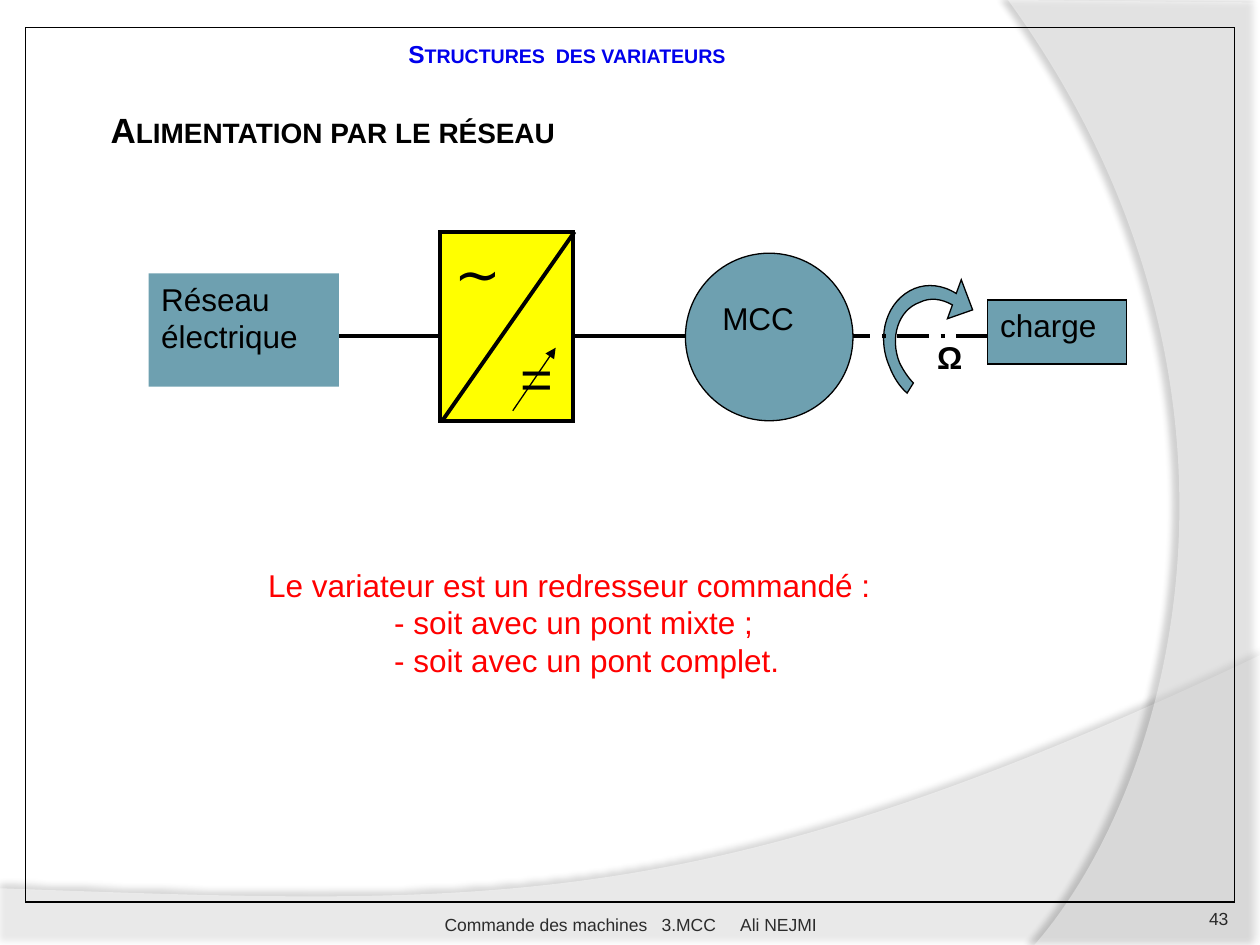
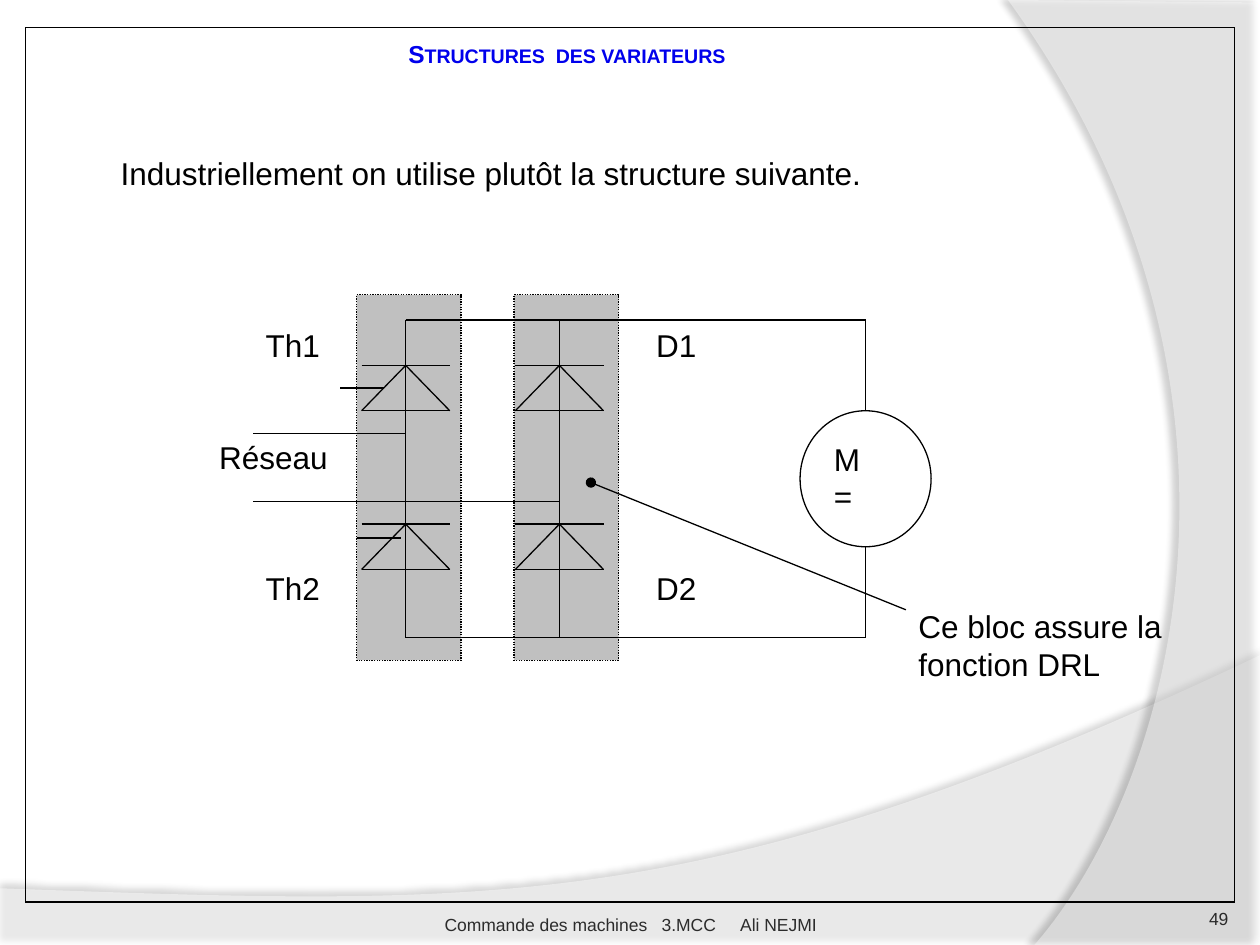
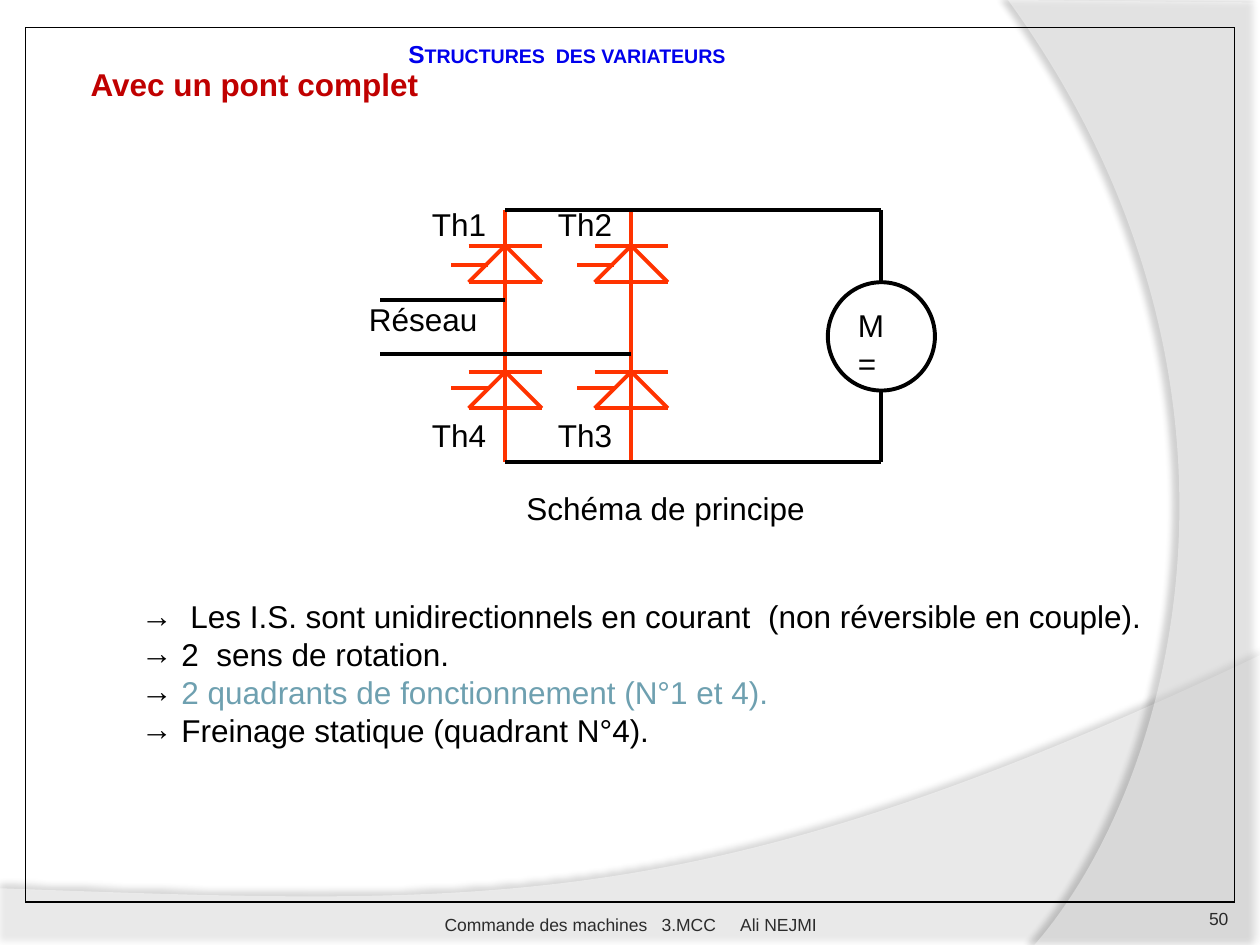
from dataclasses import dataclass
from typing import NamedTuple, Optional

from lxml.etree import Element, SubElement
from pptx import Presentation
from pptx.dml.color import RGBColor
from pptx.enum.dml import MSO_LINE
from pptx.enum.shapes import MSO_CONNECTOR, MSO_SHAPE
from pptx.enum.text import MSO_ANCHOR as ANCHOR, MSO_AUTO_SIZE, PP_ALIGN as ALIGN
from pptx.oxml.ns import qn
from pptx.util import Inches, Pt

BLACK = RGBColor(0x00, 0x00, 0x00)
WHITE = RGBColor(0xFF, 0xFF, 0xFF)
TEAL = RGBColor(0x6E, 0xA0, 0xB0)
YELLOW = RGBColor(0xFF, 0xFF, 0x00)
RED = RGBColor(0xFF, 0x00, 0x00)
DARK_RED = RGBColor(0xC0, 0x00, 0x00)
ORANGE = RGBColor(0xFF, 0x33, 0x00)
BLUE = RGBColor(0x00, 0x00, 0xEC)
SILVER = RGBColor(0xC0, 0xC0, 0xC0)
FOOTER_GREY = RGBColor(0x2C, 0x2C, 0x2C)
NUMBER_GREY = RGBColor(0x29, 0x29, 0x29)

FONT = "Arial"
THIN, THICK = 0.75, 2.25
TITLE_ONLY, TITLE_AND_CONTENT = 5, 1


class Box(NamedTuple):
    left: float
    top: float
    width: float
    height: float

    def lengths(self):
        return [Inches(value) for value in self]


class Insets(NamedTuple):
    left: float = 0.1
    top: float = 0.05
    right: float = 0.1
    bottom: float = 0.05


@dataclass(frozen=True)
class TextStyle:
    size: float = 18
    color: RGBColor = BLACK
    bold: bool = False
    small_caps: bool = False
    align: ALIGN = ALIGN.LEFT


@dataclass(frozen=True)
class Band:
    start: tuple
    segments: tuple
    opacity: int
    shadow_opacity: int
    shadow_distance: float
    shadow_angle: int


@dataclass(frozen=True)
class ListItem:
    pieces: tuple
    color: RGBColor = BLACK
    indent: float = 0.32


@dataclass(frozen=True)
class Label:
    text: str
    left: float
    top: float


@dataclass(frozen=True)
class Bridge:
    columns: tuple
    top: float
    bottom: float
    cathodes: tuple
    half_width: float
    height: float
    gates: tuple
    supply_left: float
    supply_levels: tuple
    supply_label: Box
    motor: Box
    motor_label: Box
    labels: tuple
    label_width: float
    label_height: float
    color: RGBColor
    width: float


PLAIN = TextStyle()
SYMBOL = TextStyle(size=32)
TITLE = TextStyle(14, BLUE, bold=True, small_caps=True)
FOOTER = TextStyle(10, FOOTER_GREY, align=ALIGN.CENTER)
FOOTER_PIECES = ("Commande des machines", 5.56, "3.MCC", 11.12, "Ali NEJMI")

BANDS = (
    Band((0, 7.05),
         ((0, 7.51), (10, 7.51), (10, 5.2), (5.59, 7.29, 3.91, 7.19, 0, 7.05)),
         45, 35, 3.5, 270),
    Band((10, 0.02),
         ((10, 7.5), (8.21, 7.5), (9.35, 6.19, 10.18, 3, 8, 0)),
         40, 45, 4, 180),
)

ROTATION_START = (7.56, 2.42)
ROTATION_SEGMENTS = (
    (7.47, 2.37, 7.38, 2.36, 7.3, 2.4),
    (7.13, 2.46, 7.06, 2.68, 7.14, 2.88),
    (7.17, 2.94, 7.21, 3, 7.25, 3.04),
    (7.2, 3.12),
    (7.14, 3.07, 7.09, 2.99, 7.06, 2.91),
    (6.95, 2.66, 7.04, 2.38, 7.26, 2.29),
    (7.36, 2.25, 7.48, 2.26, 7.59, 2.33),
    (7.63, 2.22), (7.72, 2.46), (7.52, 2.53),
)

FULL_BRIDGE_ITEMS = (
    ListItem(("Les I.S. sont unidirectionnels en courant", 5,
              "(non réversible en couple)."), indent=0.39),
    ListItem(("2", 5, "sens de rotation.")),
    ListItem(("2 quadrants de fonctionnement (N°1 et 4).",), TEAL),
    ListItem(("Freinage statique (quadrant N°4).",)),
)

MIXED_BRIDGE = Bridge(
    columns=(3.22, 4.44), top=2.54, bottom=5.06, cathodes=(2.9, 4.16),
    half_width=0.35, height=0.36, gates=((3.05, 3.08), (3.18, 4.27)),
    supply_left=2.01, supply_levels=(3.44, 3.98),
    supply_label=Box(1.64, 3.43, 1.08, 0.58),
    motor=Box(6.35, 3.26, 1.04, 1.08), motor_label=Box(6.52, 3.44, 0.69, 0.9),
    labels=(Label("Th1", 2.01, 2.54), Label("Th2", 2.01, 4.47),
            Label("D1", 5.11, 2.54), Label("D2", 5.11, 4.47)),
    label_width=0.87, label_height=0.54, color=BLACK, width=THIN,
)

FULL_BRIDGE = Bridge(
    columns=(4.01, 5.01), top=1.67, bottom=3.67, cathodes=(1.95, 2.95),
    half_width=0.29, height=0.29,
    gates=((3.87, 2.1), (4.87, 2.1), (3.87, 3.08), (4.87, 3.08)),
    supply_left=3.02, supply_levels=(2.38, 2.81),
    supply_label=Box(2.83, 2.33, 1.08, 0.46),
    motor=Box(6.57, 2.24, 0.85, 0.86), motor_label=Box(6.71, 2.38, 0.57, 0.72),
    labels=(Label("Th1", 3.33, 1.58), Label("Th2", 4.33, 1.58),
            Label("Th4", 3.33, 3.25), Label("Th3", 4.33, 3.25)),
    label_width=0.71, label_height=0.43, color=ORANGE, width=THICK,
)


def format_paragraph(paragraph, style: TextStyle) -> None:
    paragraph.alignment = style.align
    paragraph.line_spacing = 1.0
    paragraph.space_before = Pt(0)
    font = paragraph.font
    font.name, font.size, font.bold = FONT, Pt(style.size), style.bold
    font.color.rgb = style.color
    if style.small_caps:
        paragraph._p.pPr.find(qn("a:defRPr")).set("cap", "small")


def add_pieces(paragraph, pieces: tuple) -> None:
    for piece in pieces:
        run = paragraph.add_run()
        if isinstance(piece, str):
            run.text = piece
        else:
            run.text = " "
            run._r.get_or_add_rPr().set("spc", str(round(piece * 100)))


def write(shape, text: str, style: TextStyle = PLAIN, insets: Insets = Insets(),
          anchor: ANCHOR = ANCHOR.TOP):
    frame = shape.text_frame
    frame.text = text
    frame.word_wrap = True
    frame.auto_size = MSO_AUTO_SIZE.NONE
    frame.vertical_anchor = anchor
    (frame.margin_left, frame.margin_top,
     frame.margin_right, frame.margin_bottom) = (Inches(inset) for inset in insets)
    for paragraph in frame.paragraphs:
        format_paragraph(paragraph, style)
    return frame


def add_text(slide, box: Box, text: str, style: TextStyle = PLAIN,
             insets: Insets = Insets(), anchor: ANCHOR = ANCHOR.TOP):
    return write(slide.shapes.add_textbox(*box.lengths()), text, style, insets, anchor)


def set_indent(paragraph, left: float, first: float = 0):
    properties = paragraph._p.get_or_add_pPr()
    properties.set("marL", str(Inches(left)))
    properties.set("indent", str(Inches(first)))
    return properties


def paint(shape, fill: Optional[RGBColor], line: Optional[RGBColor], width: float = THIN) -> None:
    shape.shadow.inherit = False
    if fill is None:
        shape.fill.background()
    else:
        shape.fill.solid()
        shape.fill.fore_color.rgb = fill
    if line is None:
        shape.line.fill.background()
    else:
        shape.line.color.rgb = line
        shape.line.width = Pt(width)
        SubElement(shape.element.spPr.find(qn("a:ln")), qn("a:miter"), lim="800000")


def add_shape(slide, kind: MSO_SHAPE, box: Box, fill: Optional[RGBColor],
              line: Optional[RGBColor] = BLACK, width: float = THIN):
    shape = slide.shapes.add_shape(kind, *box.lengths())
    paint(shape, fill, line, width)
    return shape


def add_line(slide, start: tuple, end: tuple, color: RGBColor = BLACK,
             width: float = THIN, dash: Optional[MSO_LINE] = None,
             arrowhead: Optional[str] = None) -> None:
    connector = slide.shapes.add_connector(
        MSO_CONNECTOR.STRAIGHT, *(Inches(value) for value in (*start, *end)))
    connector.line.color.rgb = color
    connector.line.width = Pt(width)
    if dash is not None:
        connector.line.dash_style = dash
    properties = connector.element.spPr
    if arrowhead:
        SubElement(properties.find(qn("a:ln")), qn("a:tailEnd"), type=arrowhead)
    SubElement(properties, qn("a:effectLst"))


def add_outline(slide, start: tuple, segments: tuple):
    anchors = [(Inches(x), Inches(y)) for *_, x, y in (start, *segments)]
    builder = slide.shapes.build_freeform(*anchors[0])
    builder.add_line_segments(anchors[1:], close=True)
    shape = builder.convert_to_shape()
    for straight, segment in zip(shape.element.xpath(".//a:lnTo"), segments):
        if len(segment) == 6:
            curve = Element(qn("a:cubicBezTo"))
            for x, y in zip(segment[::2], segment[1::2]):
                SubElement(curve, qn("a:pt"), x=str(Inches(x) - shape.left),
                           y=str(Inches(y) - shape.top))
            straight.getparent().replace(straight, curve)
    return shape


def add_master_bands(presentation, slide) -> None:
    for index, band in enumerate(BANDS):
        shape = add_outline(slide, band.start, band.segments)
        paint(shape, WHITE, None)
        properties = shape.element.spPr
        color = properties.find(qn("a:solidFill")).find(qn("a:srgbClr"))
        SubElement(color, qn("a:alpha"), val=str(band.opacity * 1000))
        shadow = SubElement(
            properties.find(qn("a:effectLst")), qn("a:outerShdw"), blurRad=str(Pt(4)),
            dist=str(Pt(band.shadow_distance)), dir=str(band.shadow_angle * 60000),
            algn="ctr", rotWithShape="0")
        shadow_color = SubElement(shadow, qn("a:srgbClr"), val=str(BLACK))
        SubElement(shadow_color, qn("a:alpha"), val=str(band.shadow_opacity * 1000))
        shape.element.xpath(".//p:cNvPr")[0].set("id", str(100 + index))
        presentation.slide_master.shapes.element.insert(2 + index, shape.element)


def add_slide(presentation, layout: int, number: int):
    slide = presentation.slides.add_slide(presentation.slide_layouts[layout])
    title = slide.shapes.title
    title.left, title.top, title.width, title.height = Box(3.14, 0.26, 2.8, 0.34).lengths()
    write(title, "Structures  des variateurs", TITLE)
    add_shape(slide, MSO_SHAPE.RECTANGLE, Box(0.2, 0.22, 9.6, 6.94), None)
    footer = add_text(slide, Box(3.42, 7.02, 3.17, 0.4), "", FOOTER,
                      Insets(left=0, right=0, bottom=0), ANCHOR.BOTTOM)
    add_pieces(footer.paragraphs[0], FOOTER_PIECES)
    add_text(slide, Box(8.92, 7.02, 0.83, 0.4), str(number),
             TextStyle(10, NUMBER_GREY, align=ALIGN.RIGHT),
             Insets(left=0, right=0), ANCHOR.BOTTOM)
    return slide


def draw_rectifier(slide, bridge: Bridge, x: float, cathode: float) -> None:
    left, right = x - bridge.half_width, x + bridge.half_width
    anode = cathode + bridge.height
    for start, end in (((left, cathode), (right, cathode)),
                       ((x, cathode), (left, anode)),
                       ((x, cathode), (right, anode)),
                       ((left, anode), (right, anode))):
        add_line(slide, start, end, bridge.color, bridge.width)


def draw_bridge(slide, bridge: Bridge) -> None:
    first = bridge.columns[0]
    motor_x = bridge.motor.left + bridge.motor.width / 2
    add_line(slide, (motor_x, bridge.top), (motor_x, bridge.bottom), width=bridge.width)
    for x in bridge.columns:
        add_line(slide, (x, bridge.top), (x, bridge.bottom), bridge.color, bridge.width)
        for cathode in bridge.cathodes:
            draw_rectifier(slide, bridge, x, cathode)
    for x, level in zip(bridge.columns, bridge.supply_levels):
        add_line(slide, (x, level), (bridge.supply_left, level), width=bridge.width)
    for level in (bridge.top, bridge.bottom):
        add_line(slide, (first, level), (motor_x, level), width=bridge.width)
    for x, level in bridge.gates:
        add_line(slide, (x, level), (x - bridge.half_width, level), bridge.color, bridge.width)
    add_shape(slide, MSO_SHAPE.OVAL, bridge.motor, WHITE, width=bridge.width)
    add_text(slide, bridge.motor_label, "M\n=")
    add_text(slide, bridge.supply_label, "Réseau")
    for label in bridge.labels:
        add_text(slide, Box(label.left, label.top, bridge.label_width, bridge.label_height),
                 label.text)


def draw_supply_slide(slide) -> None:
    add_text(slide, Box(0.78, 0.81, 3.81, 0.44), "Alimentation par le réseau",
             TextStyle(20, bold=True, small_caps=True))
    shaft = 2.67
    add_line(slide, (2.57, shaft), (5.49, shaft), width=THICK)
    rotation = add_outline(slide, ROTATION_START, ROTATION_SEGMENTS)
    paint(rotation, TEAL, BLACK)
    add_text(slide, Box(7.34, 2.63, 0.46, 0.5), "Ω", TextStyle(bold=True))
    network = add_shape(slide, MSO_SHAPE.RECTANGLE, Box(1.18, 2.17, 1.51, 0.9), TEAL, None)
    write(network, "Réseau\nélectrique")
    load = add_shape(slide, MSO_SHAPE.RECTANGLE, Box(7.84, 2.38, 1.1, 0.51), TEAL)
    write(load, "charge")

    add_shape(slide, MSO_SHAPE.RECTANGLE, Box(3.49, 1.84, 1.06, 1.5), YELLOW, width=THICK)
    add_line(slide, (3.51, 3.34), (4.56, 1.84), width=THICK)
    add_text(slide, Box(3.51, 1.84, 0.53, 0.83), "∼", SYMBOL)
    add_text(slide, Box(4.03, 2.68, 0.66, 0.67), "=", SYMBOL)
    add_line(slide, (4.07, 3.26), (4.41, 2.76), arrowhead="triangle")

    add_line(slide, (6.19, shaft), (7.86, shaft), width=THICK, dash=MSO_LINE.LONG_DASH_DOT)
    machine = add_shape(slide, MSO_SHAPE.OVAL, Box(5.44, 2.01, 1.33, 1.33), TEAL)
    write(machine, "MCC", insets=Insets(bottom=0.35), anchor=ANCHOR.MIDDLE)

    frame = add_text(
        slide, Box(2.03, 4.44, 5.03, 1.01),
        "Le variateur est un redresseur commandé :\n"
        "- soit avec un pont mixte ;\n- soit avec un pont complet.", TextStyle(color=RED))
    for paragraph in frame.paragraphs[1:]:
        set_indent(paragraph, 1)


def draw_mixed_bridge_slide(slide) -> None:
    for left in (4.08, 2.83):
        block = add_shape(slide, MSO_SHAPE.RECTANGLE, Box(left, 2.34, 0.83, 2.9), SILVER)
        block.line.dash_style = MSO_LINE.ROUND_DOT
    draw_bridge(slide, MIXED_BRIDGE)
    add_text(slide, Box(7.19, 4.77, 2.17, 0.71), "Ce bloc assure la fonction DRL")
    add_text(slide, Box(0.86, 1.17, 7.4, 0.5),
             "Industriellement on utilise plutôt la structure suivante.")
    add_line(slide, (7.19, 4.84), (4.69, 3.83), arrowhead="oval")


def draw_full_bridge_slide(slide) -> None:
    add_text(slide, Box(0.62, 0.47, 3.31, 0.51), "Avec un pont complet",
             TextStyle(color=DARK_RED, bold=True))
    draw_bridge(slide, FULL_BRIDGE)
    add_text(slide, Box(4.08, 3.83, 2.83, 0.5), "Schéma de principe")

    body = slide.placeholders[1]
    body.left, body.top, body.width, body.height = Box(1.02, 4.69, 8.36, 1.31).lengths()
    frame = body.text_frame
    frame.auto_size = MSO_AUTO_SIZE.NONE
    for index, item in enumerate(FULL_BRIDGE_ITEMS):
        paragraph = frame.add_paragraph() if index else frame.paragraphs[0]
        properties = set_indent(paragraph, item.indent, -item.indent)
        SubElement(SubElement(properties, qn("a:buClr")), qn("a:srgbClr"), val=str(BLACK))
        SubElement(properties, qn("a:buFont"), typeface=FONT)
        SubElement(properties, qn("a:buChar"), char="→")
        format_paragraph(paragraph, TextStyle(color=item.color))
        add_pieces(paragraph, item.pieces)


def main() -> None:
    presentation = Presentation()
    presentation.slide_width, presentation.slide_height = Inches(10), Inches(7.5)
    pages = (
        (TITLE_ONLY, 43, draw_supply_slide),
        (TITLE_ONLY, 49, draw_mixed_bridge_slide),
        (TITLE_AND_CONTENT, 50, draw_full_bridge_slide),
    )
    for layout, number, draw in pages:
        draw(add_slide(presentation, layout, number))
    add_master_bands(presentation, presentation.slides[0])
    presentation.save("out.pptx")


if __name__ == "__main__":
    main()
